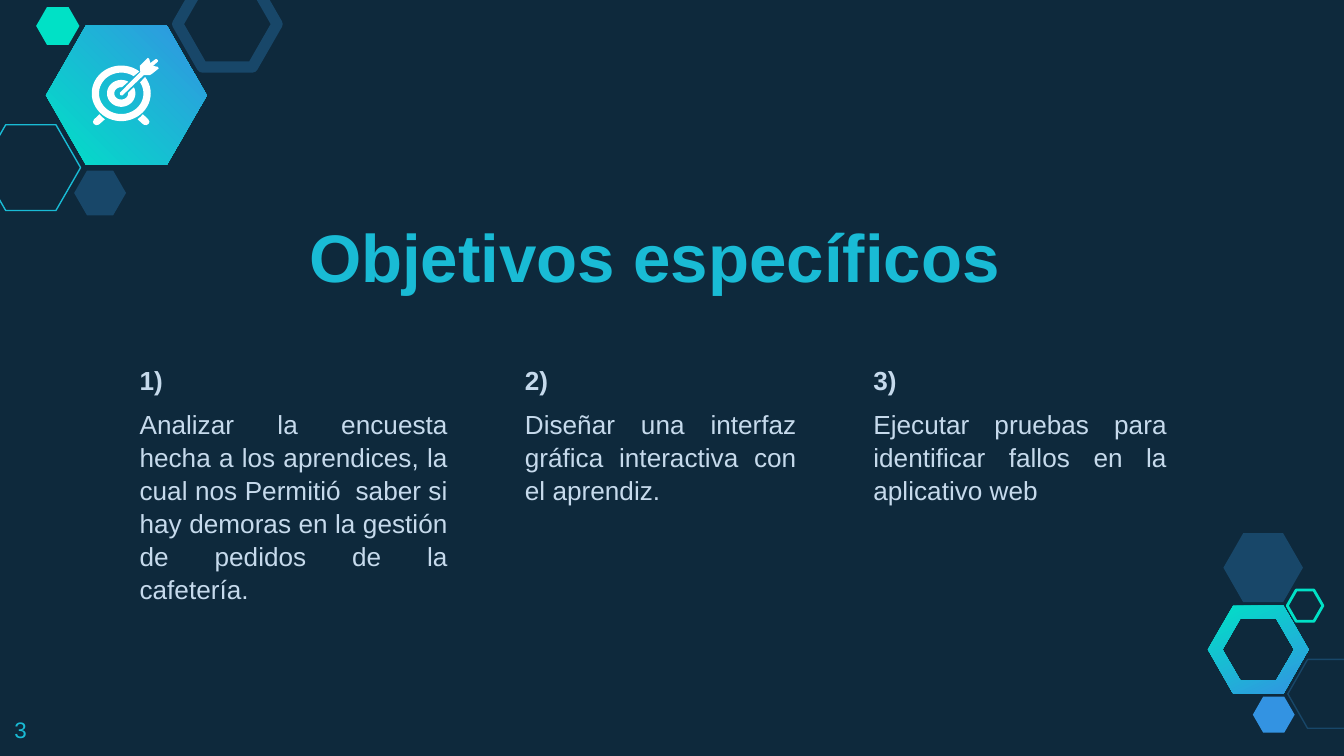
from dataclasses import dataclass
from math import cos, radians, sin
from typing import Optional

from pptx import Presentation
from pptx.dml.color import RGBColor
from pptx.enum import shapes, text
from pptx.util import Pt

COLORS = {
    "night": "0E293C", "navy": "184769", "cyan": "19BBD5", "teal": "00E1C6",
    "blue": "3393E2", "pale": "C6DAEC", "white": "FFFFFF",
}
FONT = "Arial"
INSET = 7.2
UNITS_PER_POINT = 100
BODY_TOP, BODY_HEIGHT = 187.2, 200.2

Point = tuple[float, float]


@dataclass
class Hexagon:
    left: float
    top: float
    width: float
    height: float
    fill: Optional[str] = None
    line: Optional[str] = None
    line_width: float = 0
    gradient_angle: Optional[float] = None


@dataclass
class Objective:
    left: float
    width: float
    number: str
    wording: str


@dataclass
class Ring:
    """Radii and the open angles of the outer and inner edge."""
    outer: Point
    inner: Point
    outer_gap: Point
    inner_gap: Point


HEXAGONS = [
    Hexagon(24.6, 13.8, 86.2, 74.6, gradient_angle=45),
    Hexagon(-10.1, 66.8, 53.3, 46, line="cyan", line_width=0.75),
    Hexagon(39.7, 91.4, 27.8, 24, fill="navy"),
    Hexagon(95.2, -10.1, 53.3, 46, line="navy", line_width=6),
    Hexagon(19.4, 3.8, 23.2, 20.2, fill="teal"),
    Hexagon(689.9, 353.3, 42.6, 36.9, line="navy", line_width=0.75),
    Hexagon(671.2, 373.2, 22.4, 19.4, fill="blue"),
    Hexagon(655.4, 285.7, 42.6, 36.9, fill="navy"),
    Hexagon(689.6, 316.1, 19.1, 16.8, line="teal", line_width=1.5),
]
OBJECTIVES = [
    Objective(67.7, 179.3, "1)", "Analizar la encuesta hecha a los aprendices, la cual nos "
              "Permitió  saber si hay demoras en la gestión de pedidos de la cafetería."),
    Objective(274.1, 159.8, "2)", "Diseñar una interfaz gráfica interactiva con el aprendiz."),
    Objective(460.8, 171.4, "3)", "Ejecutar pruebas para identificar fallos en la aplicativo web"),
]

TARGET_CENTER = (64.95, 50.05)
TARGET_RINGS = [
    Ring((15.8, 14.9), (11.9, 11.1), (-36, -52), (-32, -56)),
    Ring((7.6, 7.2), (3.7, 3.3), (-27, -60), (-6, -84)),
]
LEFT_FOOT = [(53.3, 61.2), (50.4, 64), (49.8, 65.2), (50.3, 66.4), (51.4, 67),
             (52.6, 66.9), (53.4, 66.4), (56.2, 63.9), (54.6, 62.6)]
ARROW = [(79.2, 31), (74.9, 35.3), (75.2, 38.6), (64.2, 49.7), (64.5, 51), (65.6, 51.1),
         (77, 40.3), (80.2, 40.3), (81.4, 39.6), (85, 36.7), (84.6, 35.8), (82, 35.3),
         (84.5, 33.1), (84.7, 32.4), (84, 31.7), (83.3, 31.7), (80.6, 33.8), (79.9, 31.4)]


def rgb(name: str) -> RGBColor:
    return RGBColor.from_string(COLORS[name])


def paint(shape, fill: Optional[str] = None, line: Optional[str] = None,
          line_width: float = 0, gradient_angle: Optional[float] = None) -> None:
    shape.shadow.inherit = False
    if gradient_angle is not None:
        shape.fill.gradient()
        shape.fill.gradient_angle = gradient_angle
        for stop, name in zip(shape.fill.gradient_stops, ("teal", "blue")):
            stop.color.rgb = rgb(name)
    elif fill:
        shape.fill.solid()
        shape.fill.fore_color.rgb = rgb(fill)
    else:
        shape.fill.background()
    if line:
        shape.line.color.rgb = rgb(line)
        shape.line.width = Pt(line_width)
    else:
        shape.line.fill.background()


def add_hexagon(slide, hexagon: Hexagon) -> None:
    shape = slide.shapes.add_shape(
        shapes.MSO_SHAPE.HEXAGON, Pt(hexagon.left), Pt(hexagon.top),
        Pt(hexagon.width), Pt(hexagon.height))
    shape.adjustments[0] = 0.287
    paint(shape, hexagon.fill, hexagon.line, hexagon.line_width, hexagon.gradient_angle)


def add_outline(slide, *contours: list[Point], **look) -> None:
    """Draw closed contours, given in points, as one freeform."""
    scaled = [[(x * UNITS_PER_POINT, y * UNITS_PER_POINT) for x, y in contour]
              for contour in contours]
    builder = slide.shapes.build_freeform(*scaled[0][0], scale=Pt(1) / UNITS_PER_POINT)
    for index, contour in enumerate(scaled):
        if index:
            builder.move_to(*contour[0])
        builder.add_line_segments(contour[1:], close=True)
    paint(builder.convert_to_shape(), **look)


def hexagon_points(center: Point, half_width: float, half_height: float) -> list[Point]:
    x, y = center
    shoulder = half_width / 2
    return [(x - half_width, y), (x - shoulder, y - half_height), (x + shoulder, y - half_height),
            (x + half_width, y), (x + shoulder, y + half_height), (x - shoulder, y + half_height)]


def open_arc(radii: Point, gap: Point, steps: int = 48) -> list[Point]:
    """Follow an ellipse clockwise from the first gap angle round to the second."""
    start, sweep = gap[0], 360 + gap[1] - gap[0]
    angles = [radians(start + sweep * step / steps) for step in range(steps + 1)]
    return [(TARGET_CENTER[0] + radii[0] * cos(angle), TARGET_CENTER[1] + radii[1] * sin(angle))
            for angle in angles]


def add_target_icon(slide) -> None:
    for ring in TARGET_RINGS:
        outer = open_arc(ring.outer, ring.outer_gap)
        inner = open_arc(ring.inner, ring.inner_gap)
        add_outline(slide, outer + inner[::-1], fill="white")
    right_foot = [(2 * TARGET_CENTER[0] - x, y) for x, y in LEFT_FOOT]
    for contour in (LEFT_FOOT, right_foot, ARROW):
        add_outline(slide, contour, fill="white")


def write(shape, lines: list[tuple[str, bool]], size: float, color: str,
          anchor=text.MSO_ANCHOR.TOP, **paragraph_format) -> None:
    """Fill a shape with (wording, bold) paragraphs."""
    frame = shape.text_frame
    frame_format = {"word_wrap": True, "auto_size": text.MSO_AUTO_SIZE.NONE,
                    "vertical_anchor": anchor}
    frame_format |= {f"margin_{side}": Pt(INSET) for side in ("left", "top", "right", "bottom")}
    for name, value in frame_format.items():
        setattr(frame, name, value)
    for index, (wording, bold) in enumerate(lines):
        paragraph = frame.add_paragraph() if index else frame.paragraphs[0]
        for name, value in paragraph_format.items():
            setattr(paragraph, name, value)
        run = paragraph.add_run()
        run.text = wording
        for name, value in {"name": FONT, "size": Pt(size), "bold": bold}.items():
            setattr(run.font, name, value)
        run.font.color.rgb = rgb(color)


def add_text(slide, left: float, top: float, width: float, height: float,
             lines: list[tuple[str, bool]], size: float, color: str, **paragraph_format) -> None:
    box = slide.shapes.add_textbox(Pt(left), Pt(top), Pt(width), Pt(height))
    write(box, lines, size, color, **paragraph_format)


def main() -> None:
    presentation = Presentation()
    presentation.slide_width, presentation.slide_height = Pt(720), Pt(405)
    slide = presentation.slides.add_slide(presentation.slide_layouts[5])
    slide.background.fill.solid()
    slide.background.fill.fore_color.rgb = rgb("night")

    title = slide.shapes.title
    title.left, title.top, title.width, title.height = Pt(158.4), Pt(74.2), Pt(444.2), Pt(91.4)
    justified = text.PP_ALIGN.JUSTIFY
    write(title, [("Objetivos específicos", True)], 36, "cyan",
          anchor=text.MSO_ANCHOR.BOTTOM, alignment=justified)

    frame_center = (674.1, 348)
    add_outline(slide, hexagon_points(frame_center, 27, 23.5),
                hexagon_points(frame_center, 19.2, 16.5)[::-1], gradient_angle=296)
    for hexagon in HEXAGONS:
        add_hexagon(slide, hexagon)
    add_target_icon(slide)
    for objective in OBJECTIVES:
        add_text(slide, objective.left, BODY_TOP, objective.width, BODY_HEIGHT,
                 [(objective.number, True), (objective.wording, False)], 14, "pale",
                 alignment=justified, space_before=Pt(6), line_spacing=1.05)
    add_text(slide, 0.7, 376.6, 43.2, 28.1, [("3", False)], 12, "cyan")
    presentation.save("out.pptx")


if __name__ == "__main__":
    main()
